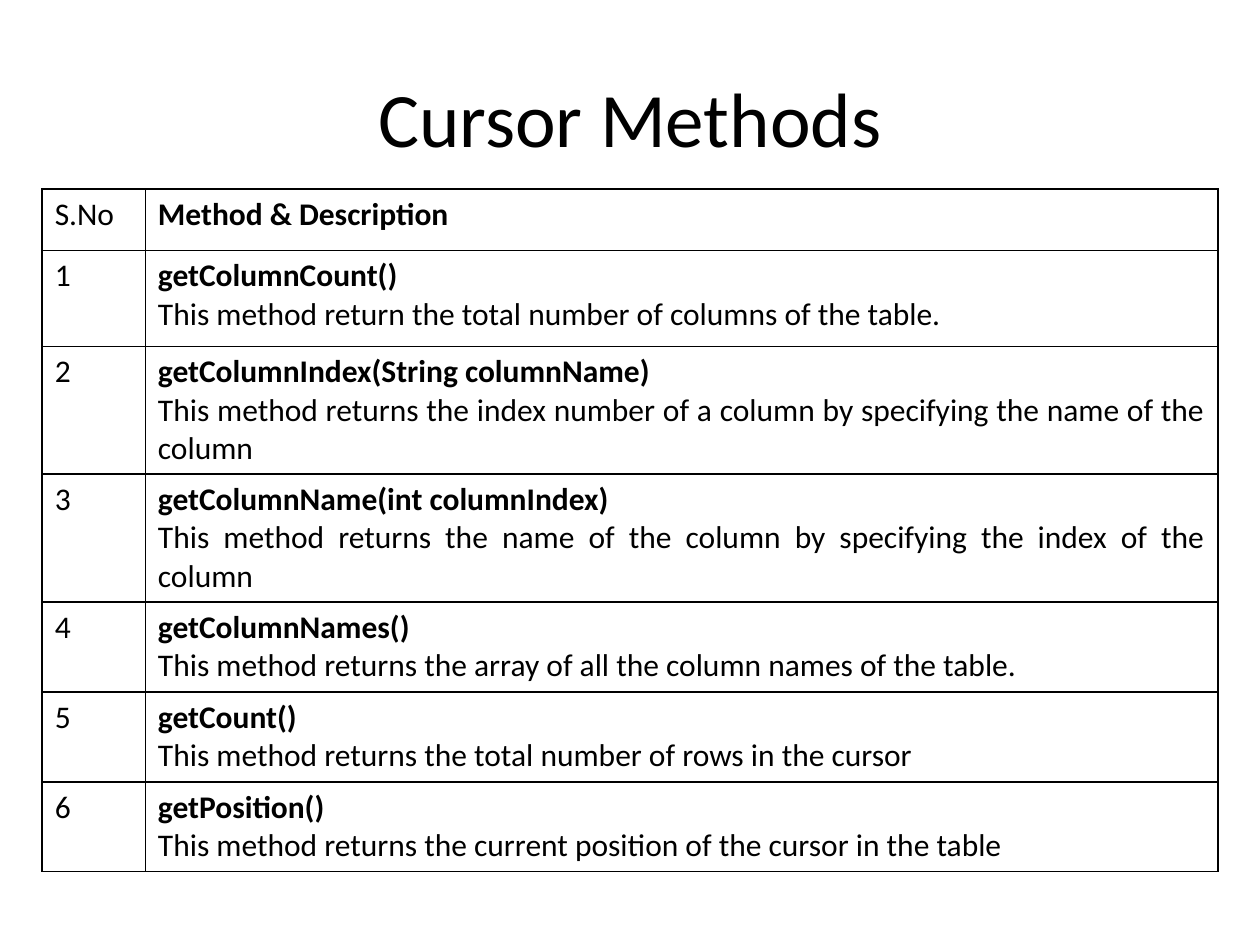
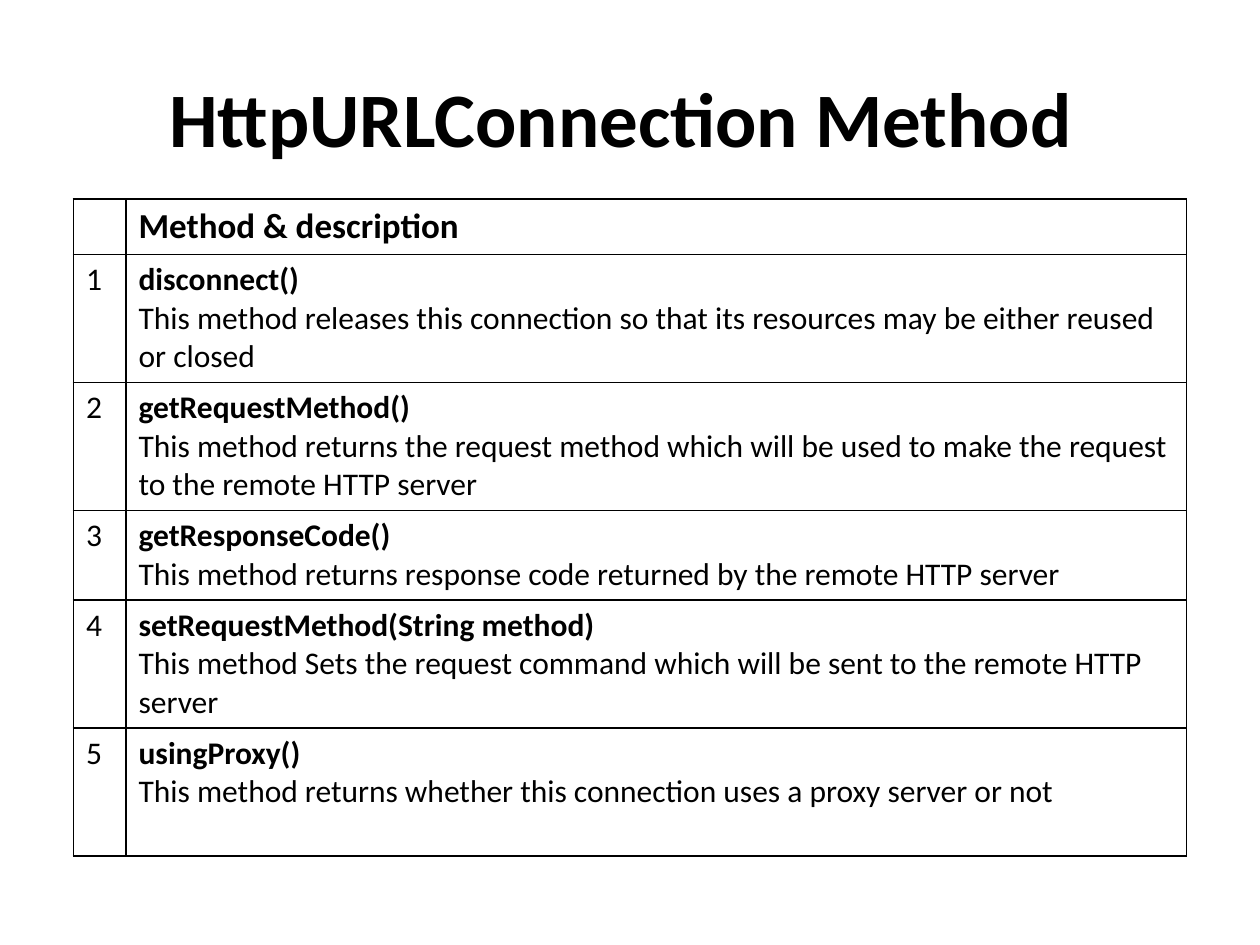
from dataclasses import dataclass

from lxml.etree import SubElement
from pptx import Presentation
from pptx.dml.color import RGBColor
from pptx.enum.text import MSO_ANCHOR as Anchor, PP_ALIGN as Align
from pptx.oxml.ns import qn
from pptx.util import Cm, Pt


@dataclass(frozen=True)
class Theme:
    font: str = "Calibri"
    ink: str = "000000"
    title_size: int = 44
    heading_size: int = 20
    body_size: int = 18
    border: int = 1


THEME = Theme()
SLIDE_SIZE = (25.4, 19.05)
TITLE_BOX = {"left": 1.27, "top": 0.76, "width": 22.86, "height": 3.18}
ROW_HEIGHTS = {2: 1.81, 3: 2.58}

TABLES = [
    {
        "title": "Cursor Methods",
        "title_bold": False,
        "header": ("S.No", "Method & Description"),
        "header_size": THEME.body_size,
        "header_height": 1.24,
        "position": (0.85, 3.81),
        "columns": (2.08, 21.62),
        "align": Align.JUSTIFY,
        "methods": [
            ("getColumnCount()", "This method return the total number of columns of the table.", 2),
            ("getColumnIndex(String columnName)",
             "This method returns the index number of a column by specifying the name of the column", 3),
            ("getColumnName(int columnIndex)",
             "This method returns the name of the column by specifying the index of the column", 3),
            ("getColumnNames()", "This method returns the array of all the column names of the table.", 2),
            ("getCount()", "This method returns the total number of rows in the cursor", 2),
            ("getPosition()", "This method returns the current position of the cursor in the table", 2),
        ],
        "taller_rows": {1: 1.93},
    },
    {
        "title": "HttpURLConnection Method ",
        "title_bold": True,
        "header": ("", "Method & description"),
        "header_size": THEME.heading_size,
        "header_height": 1.12,
        "position": (1.48, 4.01),
        "columns": (1.06, 21.38),
        "align": Align.LEFT,
        "methods": [
            ("disconnect()",
             "This method releases this connection so that its resources may be either reused or closed", 3),
            ("getRequestMethod()",
             "This method returns the request method which will be used to make the request "
             "to the remote HTTP server", 3),
            ("getResponseCode()", "This method returns response code returned by the remote HTTP server", 2),
            ("setRequestMethod(String method)",
             "This method Sets the request command which will be sent to the remote HTTP server", 3),
            ("usingProxy()", "This method returns whether this connection uses a proxy server or not", 2),
        ],
        "taller_rows": {5: 2.58},
    },
]


def write(paragraph, text, size, bold, align):
    paragraph.alignment = align
    if not text:
        return
    run = paragraph.add_run()
    run.text = text
    for name, value in {"name": THEME.font, "size": Pt(size), "bold": bold}.items():
        setattr(run.font, name, value)
    run.font.color.rgb = RGBColor.from_string(THEME.ink)


def outline(cell):
    properties = cell._tc.get_or_add_tcPr()
    for side in ("lnL", "lnR", "lnT", "lnB"):
        line = SubElement(properties, qn(f"a:{side}"), w=str(Pt(THEME.border)))
        fill = SubElement(line, qn("a:solidFill"))
        SubElement(fill, qn("a:srgbClr"), val=THEME.ink)
    cell.fill.background()


def add_title(slide, content):
    title = slide.shapes.title
    for name, value in TITLE_BOX.items():
        setattr(title, name, Cm(value))
    title.text_frame.vertical_anchor = Anchor.MIDDLE
    write(title.text_frame.paragraphs[0], content["title"],
          THEME.title_size, content["title_bold"], Align.CENTER)


def add_method_table(slide, content):
    methods = content["methods"]
    heights = [content["header_height"]] + [ROW_HEIGHTS[lines] for _, _, lines in methods]
    for index, height in content["taller_rows"].items():
        heights[index] = height
    left, top = content["position"]
    frame = slide.shapes.add_table(len(heights), 2, Cm(left), Cm(top),
                                   Cm(sum(content["columns"])), Cm(sum(heights)))
    table = frame.table
    table.first_row = table.horz_banding = False
    for column, width in zip(table.columns, content["columns"]):
        column.width = Cm(width)
    for row, height in zip(table.rows, heights):
        row.height = Cm(height)

    label, heading = content["header"]
    rows = [(label, [(heading, True)], content["header_size"])]
    rows += [(str(number), [(name, True), (description, False)], THEME.body_size)
             for number, (name, description, _) in enumerate(methods, 1)]
    for row, (number, lines, size) in zip(table.rows, rows):
        number_cell, text_cell = row.cells
        write(number_cell.text_frame.paragraphs[0], number, THEME.body_size, False, Align.LEFT)
        text_frame = text_cell.text_frame
        for index, (text, bold) in enumerate(lines):
            paragraph = text_frame.add_paragraph() if index else text_frame.paragraphs[0]
            write(paragraph, text, size, bold, content["align"])
        for cell in row.cells:
            outline(cell)


def main():
    presentation = Presentation()
    presentation.slide_width, presentation.slide_height = map(Cm, SLIDE_SIZE)
    for content in TABLES:
        slide = presentation.slides.add_slide(presentation.slide_layouts[5])
        add_title(slide, content)
        add_method_table(slide, content)
    presentation.save("out.pptx")


if __name__ == "__main__":
    main()
